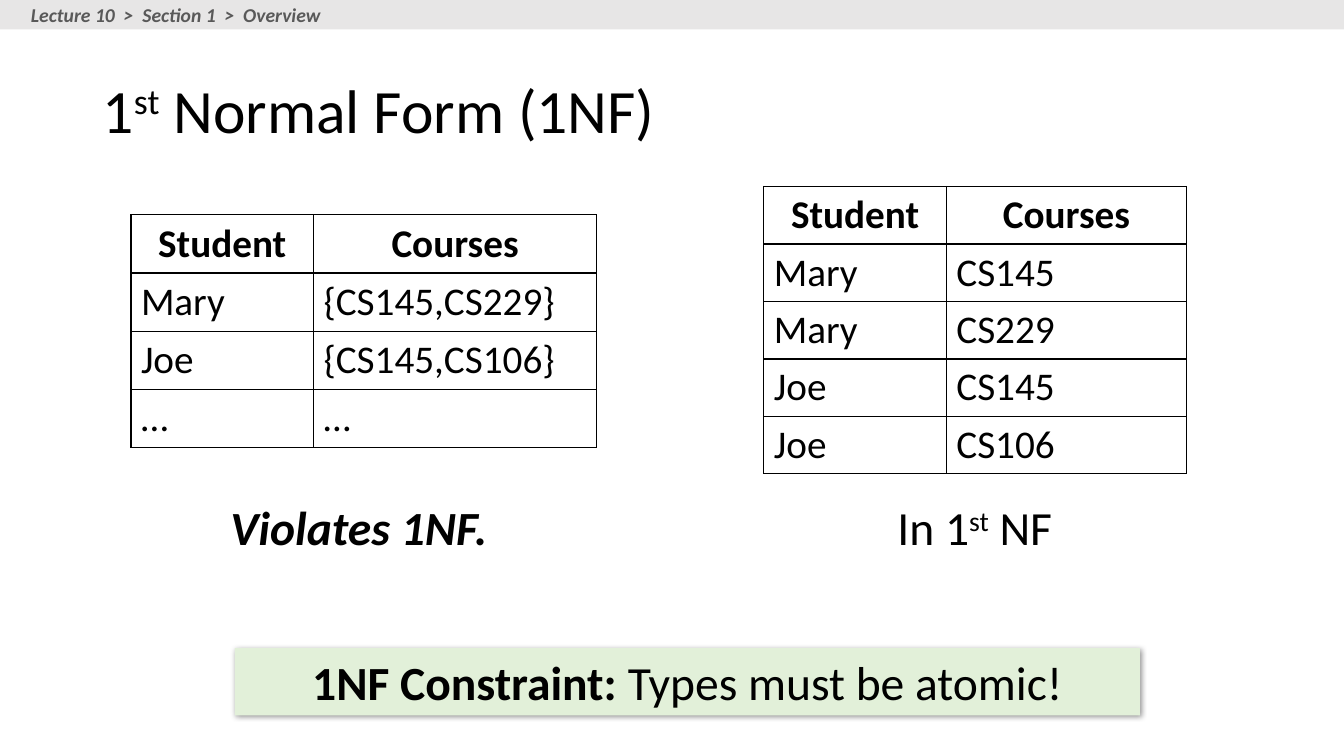
from dataclasses import dataclass

from lxml import etree
from pptx import Presentation
from pptx.dml.color import RGBColor
from pptx.enum.shapes import MSO_SHAPE
from pptx.enum.text import MSO_ANCHOR, PP_ALIGN
from pptx.oxml.ns import qn
from pptx.util import Cm, Pt

RECT = MSO_SHAPE.RECTANGLE
LEFT, CENTER = PP_ALIGN.LEFT, PP_ALIGN.CENTER
TOP, MIDDLE = MSO_ANCHOR.TOP, MSO_ANCHOR.MIDDLE

BLACK = RGBColor(0x00, 0x00, 0x00)
CRUMB_GREY = RGBColor(0x59, 0x59, 0x59)
BAR_GREY = RGBColor(0xE7, 0xE6, 0xE6)
PALE_GREEN = RGBColor(0xE2, 0xF0, 0xD9)

FONT = "Calibri"
SLIDE_W, SLIDE_H = 33.87, 19.05
CAPTION_Y, LINE_H = 12.42, 1.7


@dataclass(frozen=True)
class Run:
    text: str
    bold: bool = False
    italic: bool = False
    superscript: bool = False


@dataclass(frozen=True)
class Label:
    box: tuple[float, float, float, float]
    runs: list[Run]
    size: int = 34
    color: RGBColor = BLACK
    align: PP_ALIGN = CENTER
    anchor: MSO_ANCHOR = TOP
    wrap: bool = True
    line_spacing: float = 1.0
    fill: RGBColor | None = None


@dataclass(frozen=True)
class Relation:
    x: float
    y: float
    col_widths: tuple[float, float]
    row_height: float
    margin_y: float
    records: list[tuple[str, str]]


LABELS = [
    Label((2.34, 1.02, 29.21, 3.68),
          [Run("1"), Run("st", superscript=True), Run(" Normal Form (1NF)")],
          size=44, align=LEFT, anchor=MIDDLE, line_spacing=0.9),
    Label((4.8, CAPTION_Y, 8.76, LINE_H),
          [Run("Violates 1NF. ", bold=True, italic=True)]),
    Label((22.05, CAPTION_Y, 5.03, LINE_H),
          [Run("In 1"), Run("st", superscript=True), Run(" NF")]),
    Label((5.92, 16.33, 22.81, LINE_H),
          [Run("1NF Constraint: ", bold=True), Run("Types must be atomic!")],
          fill=PALE_GREEN),
    Label((0.53, -0.05, 7.92, 0.86),
          [Run("Lecture 10  >  Section 1  >  Overview", bold=True, italic=True)],
          size=14, color=CRUMB_GREY, align=LEFT, wrap=False),
]

HEADER = ("Student", "Courses")
RELATIONS = [
    Relation(3.3, 5.41, (4.6, 7.14), 1.46, 0.13,
             [("Mary", "{CS145,CS229}"), ("Joe", "{CS145,CS106}"), ("…", "…")]),
    Relation(19.25, 4.7, (4.6, 6.05), 1.44, 0.12,
             [("Mary", "CS145"), ("Mary", "CS229"),
              ("Joe", "CS145"), ("Joe", "CS106")]),
]


def add_run(p, run: Run, size: int, color: RGBColor) -> None:
    r = p.add_run()
    r.text = run.text
    formats = {"name": FONT, "size": Pt(size), "bold": run.bold, "italic": run.italic}
    for name, value in formats.items():
        setattr(r.font, name, value)
    r.font.color.rgb = color
    if run.superscript:
        r.font._element.set("baseline", "30000")


def add_rect(s, box: tuple[float, float, float, float], fill: RGBColor):
    sp = s.shapes.add_shape(RECT, *map(Cm, box))
    sp.shadow.inherit = False
    sp.fill.solid()
    sp.fill.fore_color.rgb = fill
    sp.line.fill.background()
    return sp


def add_shadow(sp) -> None:
    effects = sp._element.spPr.find(qn("a:effectLst"))
    shadow = etree.SubElement(effects, qn("a:outerShdw"), blurRad="50800",
                              dist="12700", dir="2700000", algn="tl", rotWithShape="0")
    color = etree.SubElement(shadow, qn("a:srgbClr"), val=str(BLACK))
    etree.SubElement(color, qn("a:alpha"), val="40000")


def add_label(s, label: Label) -> None:
    if label.fill is None:
        sp = s.shapes.add_textbox(*map(Cm, label.box))
    else:
        sp = add_rect(s, label.box, label.fill)
        add_shadow(sp)
    tf = sp.text_frame
    tf.word_wrap = label.wrap
    tf.vertical_anchor = label.anchor
    p = tf.paragraphs[0]
    p.alignment = label.align
    p.line_spacing = label.line_spacing
    for run in label.runs:
        add_run(p, run, label.size, label.color)


def add_borders(cell) -> None:
    tcPr = cell._tc.get_or_add_tcPr()
    for i, side in enumerate("LRTB"):
        ln = etree.Element(qn(f"a:ln{side}"), w=str(Pt(1)))
        fill = etree.SubElement(ln, qn("a:solidFill"))
        etree.SubElement(fill, qn("a:srgbClr"), val=str(BLACK))
        tcPr.insert(i, ln)


def add_relation(s, relation: Relation) -> None:
    rows = [HEADER, *relation.records]
    table = s.shapes.add_table(
        len(rows), len(HEADER), Cm(relation.x), Cm(relation.y),
        Cm(sum(relation.col_widths)), Cm(relation.row_height * len(rows))).table
    table.first_row = table.horz_banding = False
    for column, width in zip(table.columns, relation.col_widths):
        column.width = Cm(width)
    for i, values in enumerate(rows):
        is_header = i == 0
        for j, value in enumerate(values):
            cell = table.cell(i, j)
            cell.fill.background()
            cell.margin_top = cell.margin_bottom = Cm(relation.margin_y)
            add_borders(cell)
            p = cell.text_frame.paragraphs[0]
            p.alignment = CENTER if is_header else LEFT
            add_run(p, Run(value, bold=is_header), 28, BLACK)


def main() -> None:
    prs = Presentation()
    prs.slide_width, prs.slide_height = Cm(SLIDE_W), Cm(SLIDE_H)
    s = prs.slides.add_slide(prs.slide_layouts[6])
    add_rect(s, (0, 0, SLIDE_W, 0.74), BAR_GREY)
    for relation in RELATIONS:
        add_relation(s, relation)
    for label in LABELS:
        add_label(s, label)
    prs.save("out.pptx")


if __name__ == "__main__":
    main()
